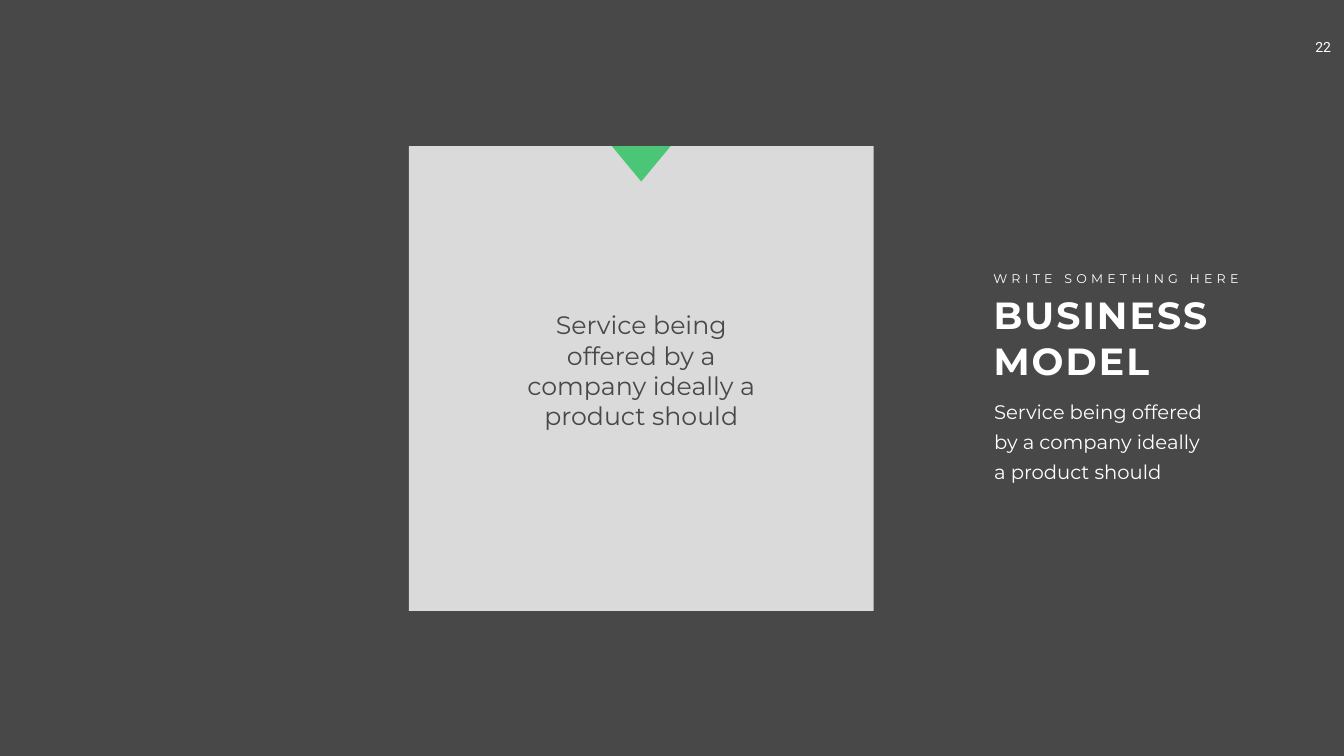
import dataclasses

import lxml.etree
import pptx
import pptx.dml.color
import pptx.enum.shapes
import pptx.enum.text
import pptx.oxml.ns
import pptx.util

Cm = pptx.util.Cm
Pt = pptx.util.Pt
Align = pptx.enum.text.PP_ALIGN
Shape = pptx.enum.shapes.MSO_SHAPE


@dataclasses.dataclass(frozen=True)
class Theme:
    dark: str = "484848"
    light: str = "FFFFFF"
    accent: str = "4BC676"
    heading_font: str = "Montserrat"
    number_font: str = "Roboto"
    title_size: int = 54
    card_size: int = 36
    body_size: int = 28
    number_size: int = 20
    label_size: int = 18
    line_pitch: int = 43


THEME = Theme()
SERVICE = "Service being offered by a company ideally a product should"


def rgb(colour):
    return pptx.dml.color.RGBColor.from_string(colour)


def apply(target, values):
    for name, value in values.items():
        setattr(target, name, value)


def place(part, left, top, width, height):
    apply(part, {"left": Cm(left), "top": Cm(top), "width": Cm(width), "height": Cm(height)})


def write(part, wording, size, colour=THEME.light, font=THEME.heading_font, bold=False,
          align=Align.LEFT, pitch=None, tracking=0, wrap=True, inset=(0.25, 0.13)):
    side, end = (Cm(gap) for gap in inset)
    frame = part.text_frame
    apply(frame, {
        "word_wrap": wrap, "auto_size": pptx.enum.text.MSO_AUTO_SIZE.NONE,
        "vertical_anchor": pptx.enum.text.MSO_ANCHOR.TOP,
        "margin_left": side, "margin_right": side, "margin_top": end, "margin_bottom": end,
    })
    paragraph = frame.paragraphs[0]
    paragraph.alignment = align
    if pitch:
        paragraph.line_spacing = Pt(pitch)
    run = paragraph.add_run()
    run.text = wording
    apply(run.font, {"name": font, "size": Pt(size), "bold": bold})
    run.font.color.rgb = rgb(colour)
    if tracking:
        run._r.get_or_add_rPr().set("spc", str(tracking * 100))


def add_text(slide, box, wording, size, **style):
    part = slide.shapes.add_textbox(*map(Cm, box))
    write(part, wording, size, **style)


def add_block(slide, preset, box, colour, opacity=100):
    block = slide.shapes.add_shape(preset, *map(Cm, box))
    block.shadow.inherit = False
    block.fill.solid()
    block.fill.fore_color.rgb = rgb(colour)
    block.line.fill.background()
    if opacity < 100:
        swatch = block.fill._xPr.find(".//" + pptx.oxml.ns.qn("a:srgbClr"))
        alpha = lxml.etree.SubElement(swatch, pptx.oxml.ns.qn("a:alpha"))
        alpha.set("val", str(opacity * 1000))
    return block


def add_card(slide, left, top, side):
    add_block(slide, Shape.RECTANGLE, (left, top, side, side), THEME.light, opacity=80)
    centre = left + side / 2
    text_width, pointer_width = 13.44, 2.95
    add_text(slide, (centre - text_width / 2, top + 7.95, text_width, 6.73), SERVICE,
             THEME.card_size, colour=THEME.dark, align=Align.CENTER,
             pitch=THEME.line_pitch, inset=(0.61, 0.3))
    pointer = add_block(slide, Shape.ISOSCELES_TRIANGLE,
                        (centre - pointer_width / 2, top, pointer_width, 1.78), THEME.accent)
    pointer.rotation = 180


def add_heading(slide, left, top, width):
    add_text(slide, (left, top, width, 1.02), "WRITE SOMETHING HERE", THEME.label_size,
             tracking=6, wrap=False)
    title = slide.shapes.title
    place(title, left, top + 1.07, width, 4.88)
    write(title, "BUSINESS MODEL", THEME.title_size, bold=True, tracking=3)
    add_text(slide, (left - 0.33, top + 6.02, 12.32, 5.08), SERVICE, THEME.body_size,
             pitch=THEME.line_pitch, inset=(0.61, 0.3))


def add_page_number(slide, left, top):
    add_text(slide, (left, top, 2.31, 1.37), "22", THEME.number_size, font=THEME.number_font,
             align=Align.CENTER, wrap=False, inset=(0.5, 0.25))


def main():
    deck = pptx.Presentation()
    apply(deck, {"slide_width": Cm(67.72), "slide_height": Cm(38.1)})
    slide = deck.slides.add_slide(deck.slide_layouts.get_by_name("Title Only"))
    slide.background.fill.solid()
    slide.background.fill.fore_color.rgb = rgb(THEME.dark)
    add_page_number(slide, 65.52, 1.7)
    add_card(slide, 20.6, 7.37, 23.42)
    add_heading(slide, 49.81, 13.51, 13.16)
    deck.save("out.pptx")


if __name__ == "__main__":
    main()
